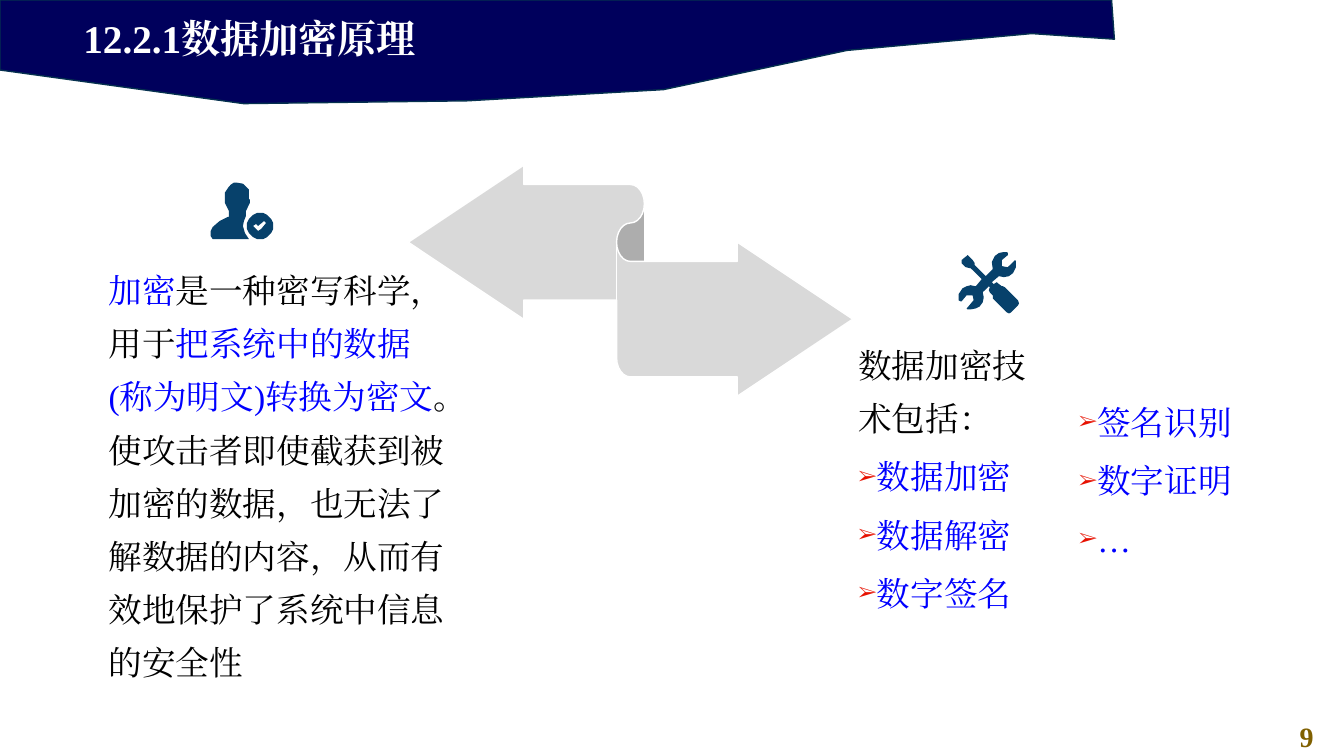
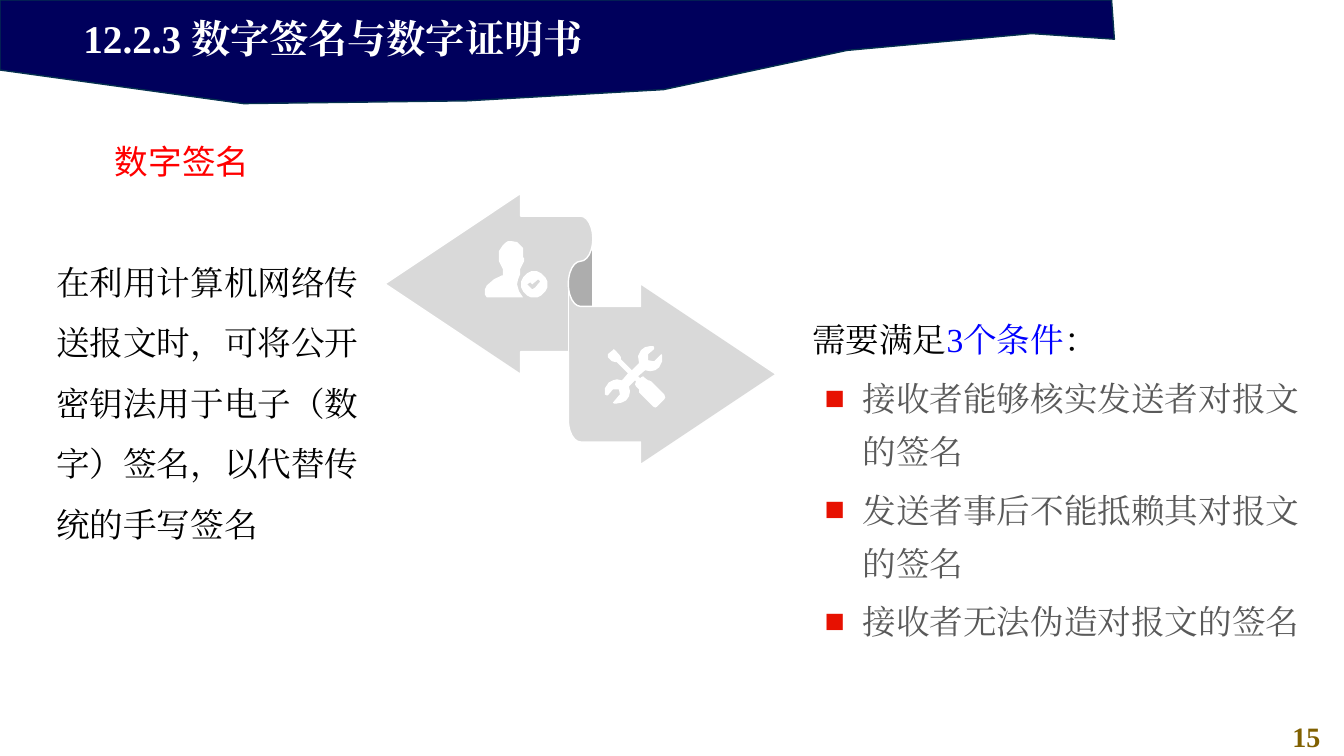
import math

import pptx
import pptx.dml.color
import pptx.enum.shapes
import pptx.enum.text
import pptx.oxml.ns
import pptx.util
from lxml import etree

Pt = pptx.util.Pt
RGBColor = pptx.dml.color.RGBColor
Align = pptx.enum.text.PP_ALIGN
Anchor = pptx.enum.text.MSO_ANCHOR
qn = pptx.oxml.ns.qn

NAVY = RGBColor(0x00, 0x00, 0x5C)
BAND_EDGE = RGBColor(0x05, 0x30, 0x4F)
OLIVE = RGBColor(0x80, 0x60, 0x00)
TEAL = RGBColor(0x07, 0x41, 0x6B)
SILVER = RGBColor(0xD9, 0xD9, 0xD9)
GREY = RGBColor(0x59, 0x59, 0x59)
BLUE = RGBColor(0x00, 0x00, 0xFF)
RED = RGBColor(0xFF, 0x00, 0x00)
BULLET_RED = RGBColor(0xE7, 0x11, 0x01)
BLACK = RGBColor(0x00, 0x00, 0x00)
WHITE = RGBColor(0xFF, 0xFF, 0xFF)

SERIF = "Times New Roman"
SANS = "Noto Sans CJK SC"
BODY_SIZE = 24
WIDE_SPACING = 1.32
ITEM_GAP = 3.7

BAND = [(-0.5, -0.5), (0, 50.5), (174, 73.5), (333.5, 72), (474, 63.5),
        (605, 36), (737, 24), (795.5, 27.5), (793.5, 0)]

# Icon outlines are in hundredths of an inch from the icon's top left corner.
ICON_UNIT = 0.72
BADGE_CENTRE, BADGE_RADIUS = (49, 43), 13
CHECK = [(53, 38), (47, 43), (45, 41), (42, 43), (47, 48), (50, 46), (55, 40)]
PERSON = [(26, 0), (32, 1), (35, 4), (38, 7), (38, 16), (39, 17), (39, 20),
          (37, 24), (35, 28), (35, 33), (33, 38), (32, 43), (34, 50), (38, 56),
          (2, 56), (0, 53), (0, 48), (2, 44), (9, 38), (17, 34), (18, 34),
          (18, 28), (16, 24), (14, 20), (14, 16), (14, 10), (18, 4), (20, 2),
          (23, 0)]
TOOLS = [(60, 48), (47, 35), (45, 34), (44, 34), (40, 31), (39, 30), (37, 31),
         (36, 32), (34, 30), (41, 24), (46, 25), (51, 24), (55, 21), (58, 15),
         (58, 9), (57, 8), (56, 9), (50, 15), (49, 15), (44, 14), (44, 8),
         (50, 3), (50, 1), (49, 0), (46, 0), (41, 1), (37, 4), (34, 10),
         (35, 17), (28, 24), (17, 13), (17, 11), (15, 8), (11, 4), (10, 3),
         (9, 4), (4, 8), (4, 11), (8, 15), (12, 16), (13, 16), (24, 27),
         (19, 33), (18, 34), (13, 33), (9, 34), (5, 36), (1, 42), (1, 48),
         (3, 49), (4, 49), (9, 43), (10, 43), (15, 43), (16, 48), (15, 49),
         (10, 55), (9, 56), (10, 57), (13, 57), (18, 56), (22, 54), (25, 50),
         (26, 45), (25, 40), (31, 34), (32, 35), (31, 38), (32, 40), (35, 43),
         (35, 46), (49, 60), (51, 61), (53, 60), (60, 53), (61, 51)]


def circle(centre, radius, steps=24):
    angles = [2 * math.pi * step / steps for step in range(steps)]
    return [(centre[0] + radius * math.cos(a), centre[1] + radius * math.sin(a))
            for a in angles]


PERSON_ICON = [CHECK, circle(BADGE_CENTRE, BADGE_RADIUS), PERSON]
TOOLS_ICON = [TOOLS]


def paint(shape, fill, edge=None):
    shape.shadow.inherit = False
    shape.fill.solid()
    shape.fill.fore_color.rgb = fill
    if edge is None:
        shape.line.fill.background()
    else:
        shape.line.color.rgb = edge
        shape.line.width = Pt(1)


def add_outline(slide, contours, fill, edge=None, origin=(0, 0), unit=1):
    """Draw closed contours as one freeform; inner contours become holes."""
    builder = slide.shapes.build_freeform(*contours[0][0], scale=Pt(unit))
    for index, contour in enumerate(contours):
        if index:
            builder.move_to(*contour[0])
        builder.add_line_segments(contour[1:], close=True)
    paint(builder.convert_to_shape(Pt(origin[0]), Pt(origin[1])), fill, edge)


def add_icon(slide, contours, origin, color):
    add_outline(slide, contours, color, origin=origin, unit=ICON_UNIT)


def add_ribbon(slide, box):
    ribbon = slide.shapes.add_shape(
        pptx.enum.shapes.MSO_SHAPE.LEFT_RIGHT_RIBBON, *map(Pt, box))
    for index, value in enumerate((0.5, 0.5, 0.333)):
        ribbon.adjustments[index] = value
    paint(ribbon, SILVER, WHITE)


def add_frame(slide, box, anchor=Anchor.TOP):
    frame = slide.shapes.add_textbox(*map(Pt, box)).text_frame
    frame.word_wrap = True
    frame.vertical_anchor = anchor
    return frame


def add_bullet(paragraph, mark, left, size=100):
    properties = paragraph._p.get_or_add_pPr()
    properties.set("marL", str(Pt(left)))
    properties.set("indent", str(-Pt(27)))
    color = etree.SubElement(properties, qn("a:buClr"))
    etree.SubElement(color, qn("a:srgbClr"), val=str(BULLET_RED))
    etree.SubElement(properties, qn("a:buSzPct"), val=str(size * 1000))
    etree.SubElement(properties, qn("a:buFont"), typeface=SERIF)
    etree.SubElement(properties, qn("a:buChar"), char=mark)


def add_paragraph(frame, runs, spacing=1.0, before=0, size=BODY_SIZE,
                  font=SERIF, bold=False, bullet=None):
    """Append a paragraph of (text, colour) runs, reusing the empty first one."""
    first = not frame.paragraphs[0].runs
    paragraph = frame.paragraphs[0] if first else frame.add_paragraph()
    if bullet:
        add_bullet(paragraph, *bullet)
    paragraph.line_spacing = spacing
    paragraph.space_before = Pt(0 if first else before)
    for text, color in runs:
        run = paragraph.add_run()
        run.text = text
        run.font.size = Pt(size)
        run.font.bold = bold
        run.font.color.rgb = color
        run.font.name = font
        etree.SubElement(run._r.get_or_add_rPr(), qn("a:ea"), typeface=font)
    return paragraph


def add_items(frame, items, color, bullet):
    for item in items:
        add_paragraph(frame, [(item, color)], WIDE_SPACING, ITEM_GAP, bullet=bullet)


def add_base_slide(deck, title, number):
    """Add a slide with the navy band, its title and the page number."""
    slide = deck.slides.add_slide(deck.slide_layouts[6])
    add_outline(slide, [BAND], NAVY, BAND_EDGE)
    page = add_frame(slide, (907, 510.5, 52.5, 31.5))
    add_paragraph(page, [(number, OLIVE)], size=20, bold=True).alignment = Align.CENTER
    heading = add_frame(slide, (52.5, 6.5, 553, 41), Anchor.MIDDLE)
    add_paragraph(heading, [(title, WHITE)], size=28, bold=True)
    return slide


def add_technique_panel(slide, box):
    """Place the intro line and two bulleted columns of techniques."""
    left, top, width, height = box
    arrow = ("➢", 0, 60)
    first_column = add_frame(slide, (left, top, width / 2, height))
    first_column.word_wrap = False
    add_paragraph(first_column, [("数据加密技术包括：", BLACK)], WIDE_SPACING)
    add_items(first_column, ["数据加密", "数据解密", "数字签名"], BLUE, arrow)
    second_column = add_frame(slide, (left + width / 2, top + 41, width / 2, height - 41))
    add_items(second_column, ["签名识别", "数字证明", "…"], BLUE, arrow)


def add_condition_panel(slide, box):
    frame = add_frame(slide, box)
    add_paragraph(frame, [("需要满足", BLACK), ("3个条件", BLUE), ("：", BLACK)], 0.9)
    add_items(frame, ["接收者能够核实发送者对报文的签名",
                      "发送者事后不能抵赖其对报文的签名",
                      "接收者无法伪造对报文的签名"], GREY, ("■", 36))


def add_icon_ribbon(slide, box):
    left, top = box[:2]
    add_ribbon(slide, box)
    add_icon(slide, PERSON_ICON, (left + 71.3, top + 34), WHITE)
    add_icon(slide, TOOLS_ICON, (left + 156.3, top + 109), WHITE)


def add_encryption_slide(deck):
    slide = add_base_slide(deck, "12.2.1数据加密原理", "9")
    add_icon(slide, PERSON_ICON, (150.5, 130.5), TEAL)
    add_icon(slide, TOOLS_ICON, (684, 180), TEAL)
    add_ribbon(slide, (291.6, 118, 317.5, 165))
    definition = add_frame(slide, (70.5, 180, 256.3, 310))
    add_paragraph(definition, [
        ("加密", BLUE),
        ("是一种密写科学，用于", BLACK),
        ("把系统中的数据(称为明文)转换为密文", BLUE),
        ("。使攻击者即使截获到被加密的数据，也无法了解数据的内容，"
         "从而有效地保护了系统中信息的安全性", BLACK),
    ], WIDE_SPACING)
    add_technique_panel(slide, (606, 233.3, 315, 175))


def add_signature_slide(deck):
    slide = add_base_slide(deck, "12.2.3 数字签名与数字证明书", "15")
    topic = add_frame(slide, (75, 100, 125, 38))
    add_paragraph(topic, [("数字签名", RED)], 0.9, font=SANS)
    add_icon_ribbon(slide, (275, 138.2, 279.4, 193.7))
    purpose = add_frame(slide, (33, 169, 233.3, 243))
    add_paragraph(purpose, [("在利用计算机网络传送报文时，可将公开密钥法用于电子"
                             "（数字）签名，以代替传统的手写签名", BLACK)], 1.5)
    add_condition_panel(slide, (573, 227.5, 366.5, 207))


def main():
    deck = pptx.Presentation()
    deck.slide_width, deck.slide_height = Pt(960), Pt(540)
    add_encryption_slide(deck)
    add_signature_slide(deck)
    deck.save("out.pptx")


if __name__ == "__main__":
    main()
